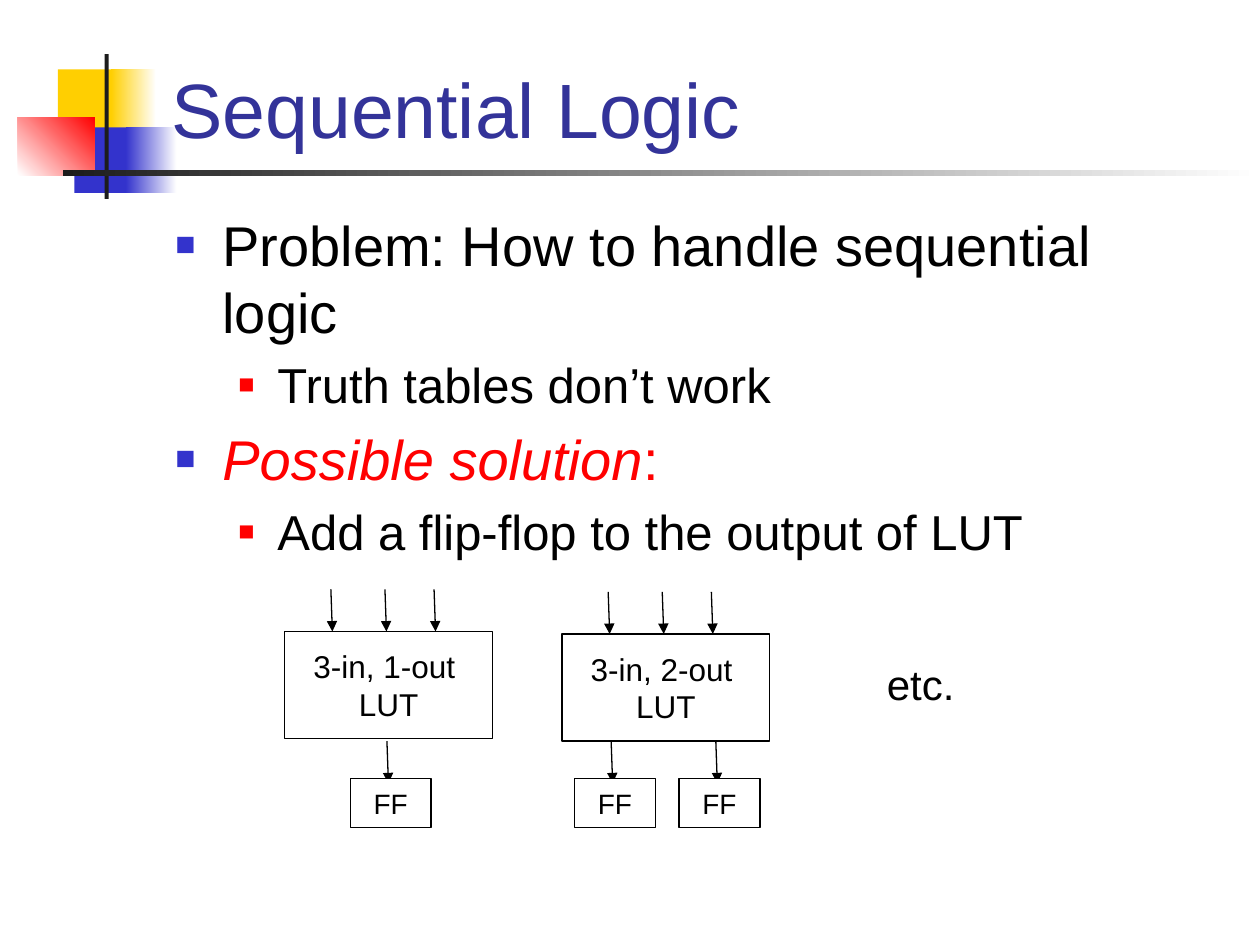
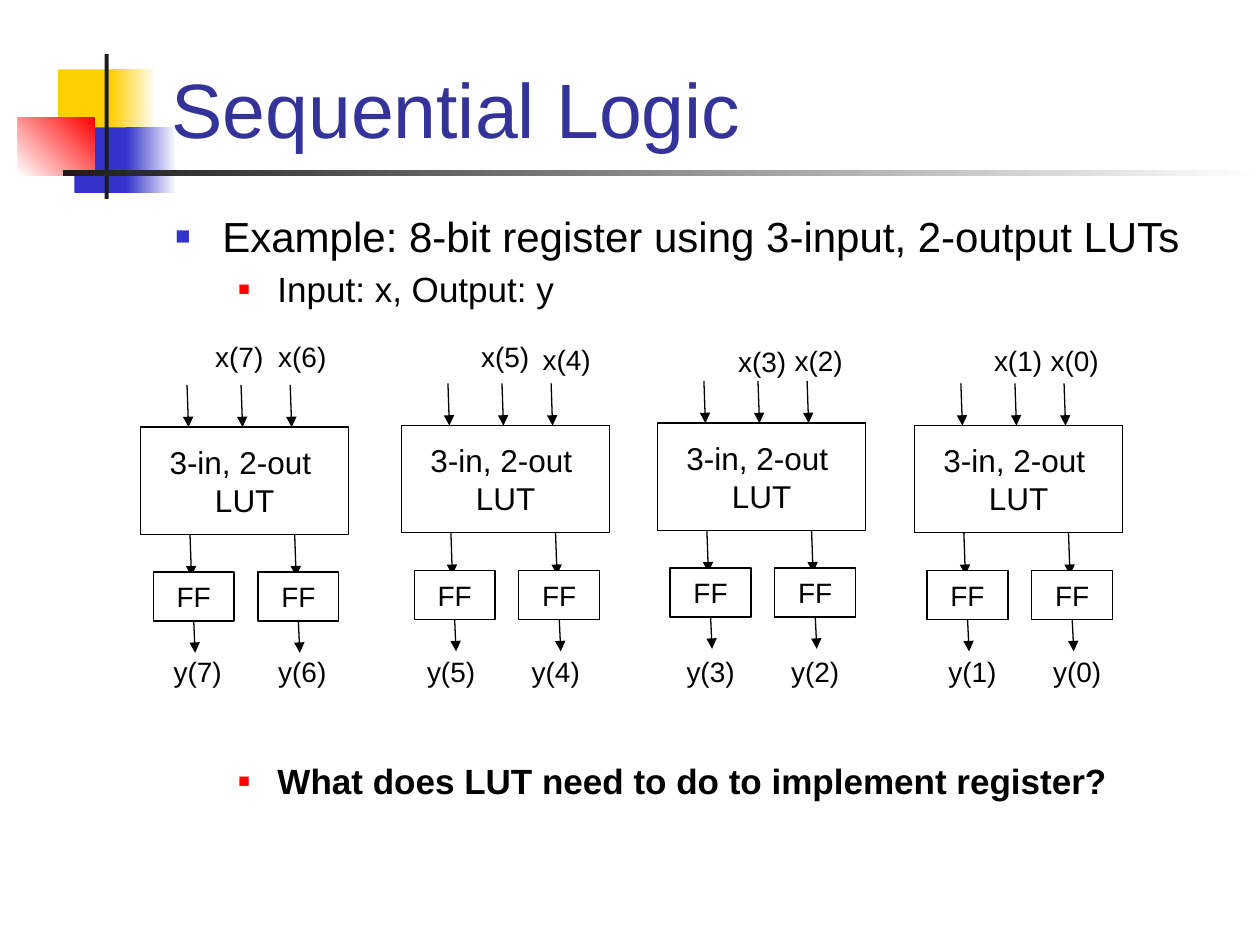
from dataclasses import dataclass

from lxml.etree import SubElement
from pptx import Presentation
from pptx.dml.color import RGBColor
from pptx.enum.shapes import MSO_CONNECTOR, MSO_SHAPE
from pptx.enum.text import MSO_ANCHOR, MSO_AUTO_SIZE, PP_ALIGN
from pptx.oxml.ns import qn
from pptx.util import Cm, Pt


@dataclass(frozen=True)
class Theme:
    font: str = "Arial"
    black: str = "000000"
    white: str = "FFFFFF"
    red: str = "FF0000"
    blue: str = "3333CC"
    yellow: str = "FFCF01"
    charcoal: str = "1C1C1C"
    title: str = "333399"
    title_size: int = 44
    heading_size: int = 32
    detail_size: int = 28
    large_size: int = 24
    small_detail_size: int = 20
    box_size: int = 18
    label_size: int = 16
    line_width: float = 0.75


@dataclass(frozen=True)
class BulletLevel:
    margin: float
    hanging: float
    color: str
    percent: int


THEME = Theme()
BULLET_LEVELS = (
    BulletLevel(0.95, 0.95, THEME.blue, 60),
    BulletLevel(2.06, 0.79, THEME.red, 55),
)

# Circuit measures in centimetres
LUT_WIDTH, LUT_HEIGHT = 4.19, 2.16
FF_WIDTH, FF_HEIGHT = 1.63, 0.99
FF_PITCH = 2.11
FF_DROP = 0.76
ARROW_LENGTH, ARROW_SLANT = 0.85, 0.03
OUTPUT_LENGTH = 0.64
INPUT_OFFSETS = (0.93, 2.02, 3.01)


# Basic elements
def write_text(paragraph, text, size=THEME.label_size, color=THEME.black,
               bold=False, italic=False, align=None):
    run = paragraph.add_run()
    run.text = text
    run.font.name = THEME.font
    run.font.size = Pt(size)
    run.font.bold = bold
    run.font.italic = italic
    run.font.color.rgb = RGBColor.from_string(color)
    if align is not None:
        paragraph.alignment = align


def place(shape, left, top, width, height):
    shape.left, shape.top = Cm(left), Cm(top)
    shape.width, shape.height = Cm(width), Cm(height)


def add_rectangle(slide, left, top, width, height, fill=None, outline=None):
    shape = slide.shapes.add_shape(
        MSO_SHAPE.RECTANGLE, Cm(left), Cm(top), Cm(width), Cm(height))
    shape.shadow.inherit = False
    if fill is None:
        shape.fill.background()
    else:
        shape.fill.solid()
        shape.fill.fore_color.rgb = RGBColor.from_string(fill)
    if outline is None:
        shape.line.fill.background()
    else:
        shape.line.color.rgb = RGBColor.from_string(outline)
        shape.line.width = Pt(THEME.line_width)
    return shape


def add_fade(slide, left, top, width, height, colors, angle=0):
    shape = add_rectangle(slide, left, top, width, height)
    shape.fill.gradient()
    shape.fill.gradient_angle = angle
    for stop, color in zip(shape.fill.gradient_stops, colors):
        stop.color.rgb = RGBColor.from_string(color)
    return shape


def add_box(slide, left, top, width, height, lines, size, fill=None):
    shape = add_rectangle(slide, left, top, width, height, fill, THEME.black)
    frame = shape.text_frame
    frame.word_wrap = False
    frame.vertical_anchor = MSO_ANCHOR.MIDDLE
    for index, line in enumerate(lines):
        paragraph = frame.add_paragraph() if index else frame.paragraphs[0]
        write_text(paragraph, line, size=size, align=PP_ALIGN.CENTER)
    return shape


def add_label(slide, left, top, text, width=1.75, height=0.94,
              size=THEME.label_size):
    box = slide.shapes.add_textbox(Cm(left), Cm(top), Cm(width), Cm(height))
    box.text_frame.word_wrap = True
    write_text(box.text_frame.paragraphs[0], text, size=size)


def add_arrow(slide, left, top, length=ARROW_LENGTH, source=None):
    """Draw a slightly slanted downward arrow, joined to a source if given."""
    arrow = slide.shapes.add_connector(
        MSO_CONNECTOR.STRAIGHT, Cm(left), Cm(top),
        Cm(left + ARROW_SLANT), Cm(top + length))
    arrow.line.color.rgb = RGBColor.from_string(THEME.black)
    arrow.line.width = Pt(THEME.line_width)
    properties = arrow.element.spPr
    SubElement(properties.find(qn("a:ln")), qn("a:tailEnd"), type="triangle")
    SubElement(properties, qn("a:effectLst"))
    if source is not None:
        arrow.begin_connect(source, 2)


# Shared slide design
def decorate_layout(slide):
    """Draw the corner design and move it to the back of the slide's layout."""
    decorations = [
        add_rectangle(slide, 1.17, 1.4, 1.22, 1.32, THEME.yellow),
        add_fade(slide, 2.24, 1.4, 0.91, 1.32, (THEME.yellow, THEME.white)),
        add_rectangle(slide, 1.5, 2.57, 1.17, 1.32, THEME.blue),
        add_fade(slide, 2.54, 2.57, 1.02, 1.32, (THEME.blue, THEME.white)),
        add_fade(slide, 0.36, 2.36, 1.55, 1.17, (THEME.white, THEME.red), 45),
        add_rectangle(slide, 2.11, 1.09, 0.08, 2.92, THEME.charcoal),
        add_fade(slide, 1.27, 3.43, 24.13, 0.13,
                 (THEME.charcoal, THEME.white)),
    ]
    layout_tree = slide.slide_layout.shapes.element
    for position, shape in enumerate(decorations, start=2):
        layout_tree.insert(position, shape.element)


def add_slide(presentation, title):
    slide = presentation.slides.add_slide(presentation.slide_layouts[1])
    shape = slide.shapes.title
    place(shape, 3.2, 0.05, 21.64, 3.18)
    frame = shape.text_frame
    frame.auto_size = MSO_AUTO_SIZE.NONE
    frame.vertical_anchor = MSO_ANCHOR.BOTTOM
    write_text(frame.paragraphs[0], title, size=THEME.title_size,
               color=THEME.title, align=PP_ALIGN.LEFT)
    return slide


def format_bullet(paragraph, level):
    style = BULLET_LEVELS[level]
    paragraph.level = level
    properties = paragraph._p.get_or_add_pPr()
    properties.set("marL", str(Cm(style.margin)))
    properties.set("indent", str(-Cm(style.hanging)))
    color = SubElement(properties, qn("a:buClr"))
    SubElement(color, qn("a:srgbClr"), val=style.color)
    SubElement(properties, qn("a:buSzPct"), val=str(style.percent * 1000))
    SubElement(properties, qn("a:buFont"), typeface=THEME.font)
    SubElement(properties, qn("a:buChar"), char="■")


def fill_body(slide, items):
    """Each item is a level, a size, its runs and optionally a space before."""
    body = slide.placeholders[1]
    place(body, 3.28, 4.01, 21.59, 13)
    frame = body.text_frame
    frame.auto_size = MSO_AUTO_SIZE.NONE
    frame.margin_top = Cm(0.23)
    for index, (level, size, runs, *space) in enumerate(items):
        paragraph = frame.add_paragraph() if index else frame.paragraphs[0]
        format_bullet(paragraph, level)
        before = space[0] if space else size * 0.2
        paragraph.space_before = Pt(before if index else 0)
        for text, style in runs:
            write_text(paragraph, text, size=size, **style)


# Circuit parts
def add_lut(slide, left, top, outputs=2, output_gap=0.0):
    """Draw a lookup table with its inputs and flip-flops; return the latter."""
    add_box(slide, left, top, LUT_WIDTH, LUT_HEIGHT,
            (f"3-in, {outputs}-out ", "LUT"), THEME.box_size)
    for offset in INPUT_OFFSETS:
        add_arrow(slide, left + offset, top - ARROW_LENGTH)
    bottom = top + LUT_HEIGHT + output_gap
    first_offset = 0.25 if outputs == 2 else 1.32
    flip_flops = []
    for index in range(outputs):
        ff_left = left + first_offset + index * FF_PITCH
        add_arrow(slide, ff_left + 0.74, bottom)
        flip_flops.append(
            add_box(slide, ff_left, bottom + FF_DROP, FF_WIDTH, FF_HEIGHT,
                    ("FF",), THEME.label_size, THEME.white))
    return flip_flops


def add_register_stage(slide, left, top, high_bit, input_places, output_left):
    flip_flops = add_lut(slide, left, top)
    for index, flip_flop in enumerate(flip_flops):
        bit = high_bit - index
        add_label(slide, *input_places[index], f"x({bit})")
        add_label(slide, output_left + index * FF_PITCH, 13.08, f"y({bit})")
        center = (flip_flop.left + flip_flop.width // 2) / Cm(1)
        bottom = (flip_flop.top + flip_flop.height) / Cm(1)
        add_arrow(slide, center, bottom, OUTPUT_LENGTH, flip_flop)


# Slides
def build_problem_slide(presentation):
    slide = add_slide(presentation, "Sequential Logic")
    decorate_layout(slide)
    fill_body(slide, [
        (0, THEME.heading_size,
         [("Problem: How to handle sequential logic", {})]),
        (1, THEME.detail_size, [("Truth tables don’t work", {})]),
        (0, THEME.heading_size,
         [("Possible solution", {"color": THEME.red, "italic": True}),
          (":", {"color": THEME.red})]),
        (1, THEME.detail_size, [("Add a flip-flop to the output of LUT", {})]),
    ])
    add_lut(slide, 11.33, 12.78)
    add_lut(slide, 5.74, 12.73, outputs=1, output_gap=0.05)
    add_label(slide, 17.63, 13.16, "etc.", width=4.45, height=1.27,
              size=THEME.large_size)


def build_register_slide(presentation):
    slide = add_slide(presentation, "Sequential Logic")
    fill_body(slide, [
        (0, THEME.large_size,
         [("Example: 8-bit register using 3-input, 2-output LUTs", {})]),
        (1, THEME.small_detail_size, [("Input: x, Output: y", {})]),
        (1, THEME.small_detail_size,
         [("What does LUT need to do to implement register?",
           {"bold": True})], 257),
    ])
    stages = [
        (2.84, 8.61, 7, ((4.09, 6.73), (5.36, 6.73)), 3.25),
        (8.1, 8.58, 5, ((9.45, 6.73), (10.69, 6.78)), 8.36),
        (13.26, 8.53, 3, ((14.63, 6.83), (15.77, 6.81)), 13.59),
        (18.44, 8.58, 1, ((19.79, 6.81), (20.93, 6.81)), 18.87),
    ]
    for stage in stages:
        add_register_stage(slide, *stage)


def main():
    presentation = Presentation()
    presentation.slide_width, presentation.slide_height = Cm(25.4), Cm(19.05)
    build_problem_slide(presentation)
    build_register_slide(presentation)
    presentation.save("out.pptx")


if __name__ == "__main__":
    main()
